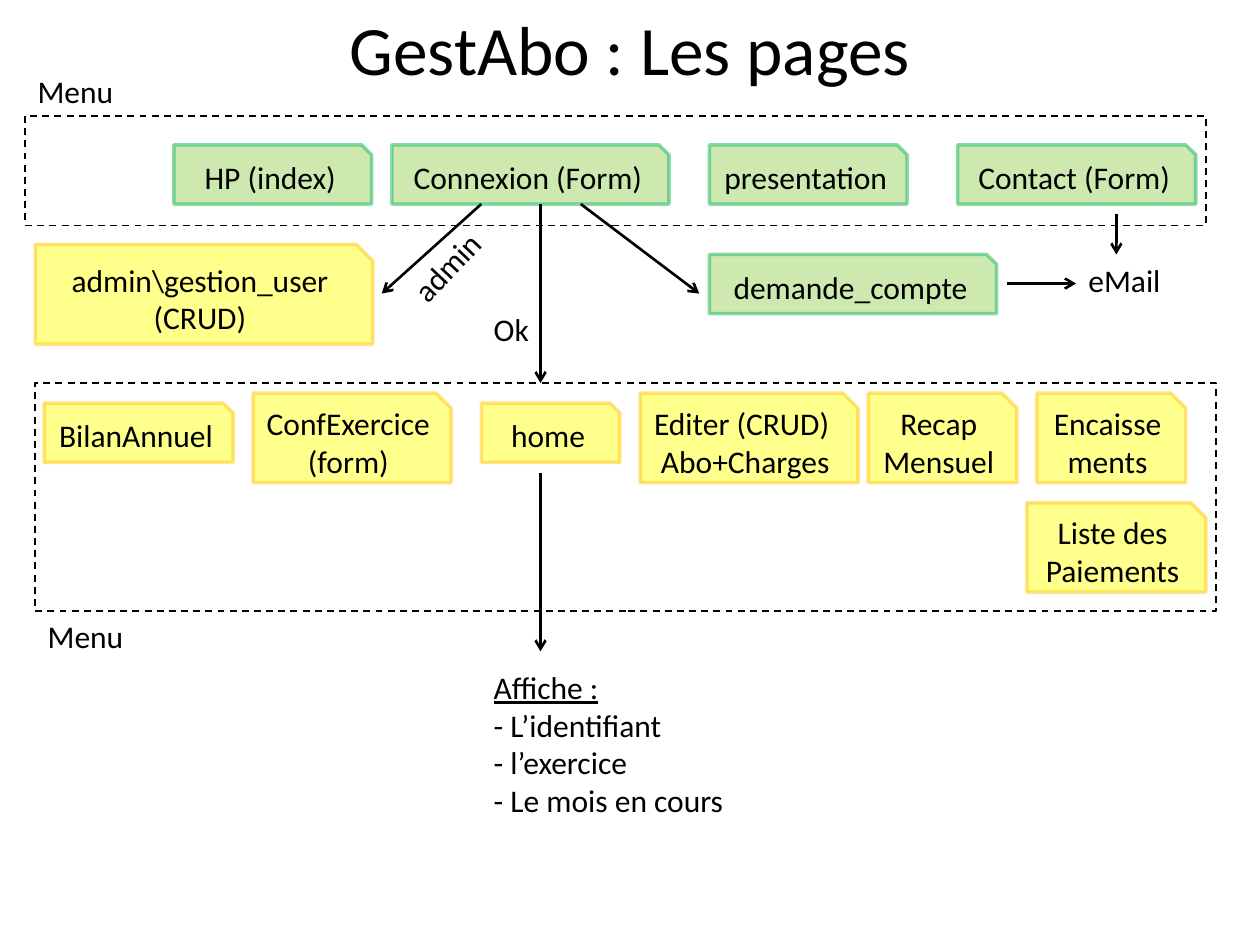
import pptx
import pptx.dml.color
import pptx.enum.dml
import pptx.enum.shapes
import pptx.enum.text
import pptx.oxml
import pptx.oxml.ns
import pptx.util
from pptx.util import Inches

RGBColor = pptx.dml.color.RGBColor
SHAPES = pptx.enum.shapes.MSO_SHAPE
ALIGN = pptx.enum.text.PP_ALIGN
ANCHOR = pptx.enum.text.MSO_ANCHOR

BLACK = RGBColor(0x00, 0x00, 0x00)
GREEN_FILL = RGBColor(0x92, 0xD0, 0x50)
GREEN_EDGE = RGBColor(0x00, 0xB0, 0x50)
YELLOW_FILL = RGBColor(0xFF, 0xFF, 0x00)
YELLOW_EDGE = RGBColor(0xFF, 0xC0, 0x00)
PUBLIC = (GREEN_FILL, GREEN_EDGE)
PRIVATE = (YELLOW_FILL, YELLOW_EDGE)

LOW, HIGH = 0.47, 0.71  # page heights for one and two lines of text


def write(shape, text, size=18, align=ALIGN.LEFT, anchor=ANCHOR.TOP, underline_first=False):
    frame = shape.text_frame
    frame.word_wrap = True
    frame.vertical_anchor = anchor
    frame.text = text
    for paragraph in frame.paragraphs:
        paragraph.alignment = align
        for run in paragraph.runs:
            run.font.name = "Calibri"
            run.font.size = pptx.util.Pt(size)
            run.font.color.rgb = BLACK
    if underline_first:
        frame.paragraphs[0].runs[0].font.underline = True


def add_label(slide, text, left, top, width, height=0.4, rotation=0, **text_format):
    label = slide.shapes.add_textbox(Inches(left), Inches(top), Inches(width), Inches(height))
    label.rotation = rotation
    write(label, text, **text_format)


def set_opacity(color_format_parent, percent):
    for color in color_format_parent.iter(pptx.oxml.ns.qn("a:srgbClr")):
        alpha = color.makeelement(pptx.oxml.ns.qn("a:alpha"), {"val": str(percent * 1000)})
        color.append(alpha)


def add_page(slide, text, left, top, width, height, access):
    """Add a translucent snipped card that stands for one page of the site."""
    page = slide.shapes.add_shape(
        SHAPES.SNIP_1_RECTANGLE, Inches(left), Inches(top), Inches(width), Inches(height))
    page.shadow.inherit = False
    fill_color, edge_color = access
    page.fill.solid()
    page.fill.fore_color.rgb = fill_color
    page.line.color.rgb = edge_color
    page.line.width = pptx.util.Pt(2)
    set_opacity(page.element.spPr, 45)
    write(page, text, align=ALIGN.CENTER, anchor=ANCHOR.MIDDLE)


def add_frame(slide, left, top, width, height):
    frame = slide.shapes.add_shape(
        SHAPES.RECTANGLE, Inches(left), Inches(top), Inches(width), Inches(height))
    frame.shadow.inherit = False
    frame.fill.background()
    frame.line.color.rgb = BLACK
    frame.line.width = pptx.util.Pt(1)
    frame.line.dash_style = pptx.enum.dml.MSO_LINE.DASH


def add_arrow(slide, x1, y1, x2, y2):
    arrow = slide.shapes.add_connector(
        pptx.enum.shapes.MSO_CONNECTOR.STRAIGHT, Inches(x1), Inches(y1), Inches(x2), Inches(y2))
    arrow.line.color.rgb = BLACK
    arrow.line.width = pptx.util.Pt(1.5)
    properties = arrow.element.spPr
    line = properties.find(pptx.oxml.ns.qn("a:ln"))
    line.append(line.makeelement(pptx.oxml.ns.qn("a:tailEnd"), {"type": "arrow"}))
    properties.append(properties.makeelement(pptx.oxml.ns.qn("a:effectLst"), {}))


def add_public_menu(slide, left, top, width, height):
    add_label(slide, "Menu", left, top - 0.4, 0.87)
    add_frame(slide, left, top, width, height)
    for text, offset, page_width in (
            ("HP (index)", 1.18, 1.57),
            ("Connexion (Form)", 2.91, 2.2),
            ("presentation", 5.43, 1.57),
            ("Contact (Form)", 7.4, 1.89)):
        add_page(slide, text, left + offset, top + 0.23, page_width, LOW, PUBLIC)


def add_connexion_outcomes(slide, left, top, width, height):
    """Add what follows the connexion and contact forms, between the two menus."""
    right, bottom = left + width, top + height
    center = left + 4.01
    add_page(slide, "admin\\gestion_user (CRUD)", left, top + 0.32, 2.68, 0.79, PRIVATE)
    add_page(slide, "demande_compte", left + 5.35, top + 0.4, 2.28, LOW, PUBLIC)
    add_label(slide, "eMail", right - 0.94, top + 0.4, 0.94)
    add_label(slide, "admin", left + 2.83, top + 0.26, 0.94, rotation=313.4)
    add_label(slide, "Ok", left + 3.54, top + 0.79, 0.63)
    add_arrow(slide, center - 0.47, top, left + 2.75, top + 0.71)
    add_arrow(slide, center, top, center, bottom)
    add_arrow(slide, center + 0.32, top, left + 5.27, top + 0.71)
    add_arrow(slide, left + 7.71, top + 0.63, right - 0.94, top + 0.63)
    add_arrow(slide, right - 0.62, top + 0.08, right - 0.62, top + 0.4)


def add_member_menu(slide, left, top, width, height):
    add_frame(slide, left, top, width, height)
    add_label(slide, "Menu", left, top + height, 0.87)
    for text, offset, drop, page_width, page_height in (
            ("BilanAnnuel", 0.07, 0.16, 1.5, LOW),
            ("ConfExercice\n(form)", 1.73, 0.08, 1.57, HIGH),
            ("home", 3.54, 0.16, 1.1, LOW),
            ("Editer (CRUD) \vAbo+Charges", 4.8, 0.08, 1.73, HIGH),
            ("Recap\vMensuel", 6.61, 0.08, 1.18, HIGH),
            ("Encaissements", 7.95, 0.08, 1.18, HIGH),
            ("Liste des Paiements", 7.87, 0.95, 1.42, HIGH)):
        add_page(slide, text, left + offset, top + drop, page_width, page_height, PRIVATE)


def add_home_content(slide, left, top, width, height):
    """Add the arrow down from the home page and the list of what it shows."""
    add_arrow(slide, left + 0.47, top, left + 0.47, top + 1.42)
    add_label(slide, "Affiche :\v- L’identifiant\v- l’exercice\n- Le mois en cours",
              left, top + 1.5, width, height - 1.5, underline_first=True)


def main():
    deck = pptx.Presentation()
    deck.slide_width, deck.slide_height = Inches(10), Inches(7.5)
    slide = deck.slides.add_slide(deck.slide_layouts[6])
    add_label(slide, "GestAbo : Les pages", 0, 0, 10, 0.76,
              size=39.6, align=ALIGN.CENTER, anchor=ANCHOR.MIDDLE)
    add_public_menu(slide, 0.2, 0.92, 9.37, 0.87)
    add_connexion_outcomes(slide, 0.28, 1.62, 9.2, 1.42)
    add_member_menu(slide, 0.28, 3.04, 9.37, 1.81)
    add_home_content(slide, 3.82, 3.75, 2.28, 2.81)
    deck.save("out.pptx")


if __name__ == "__main__":
    main()
